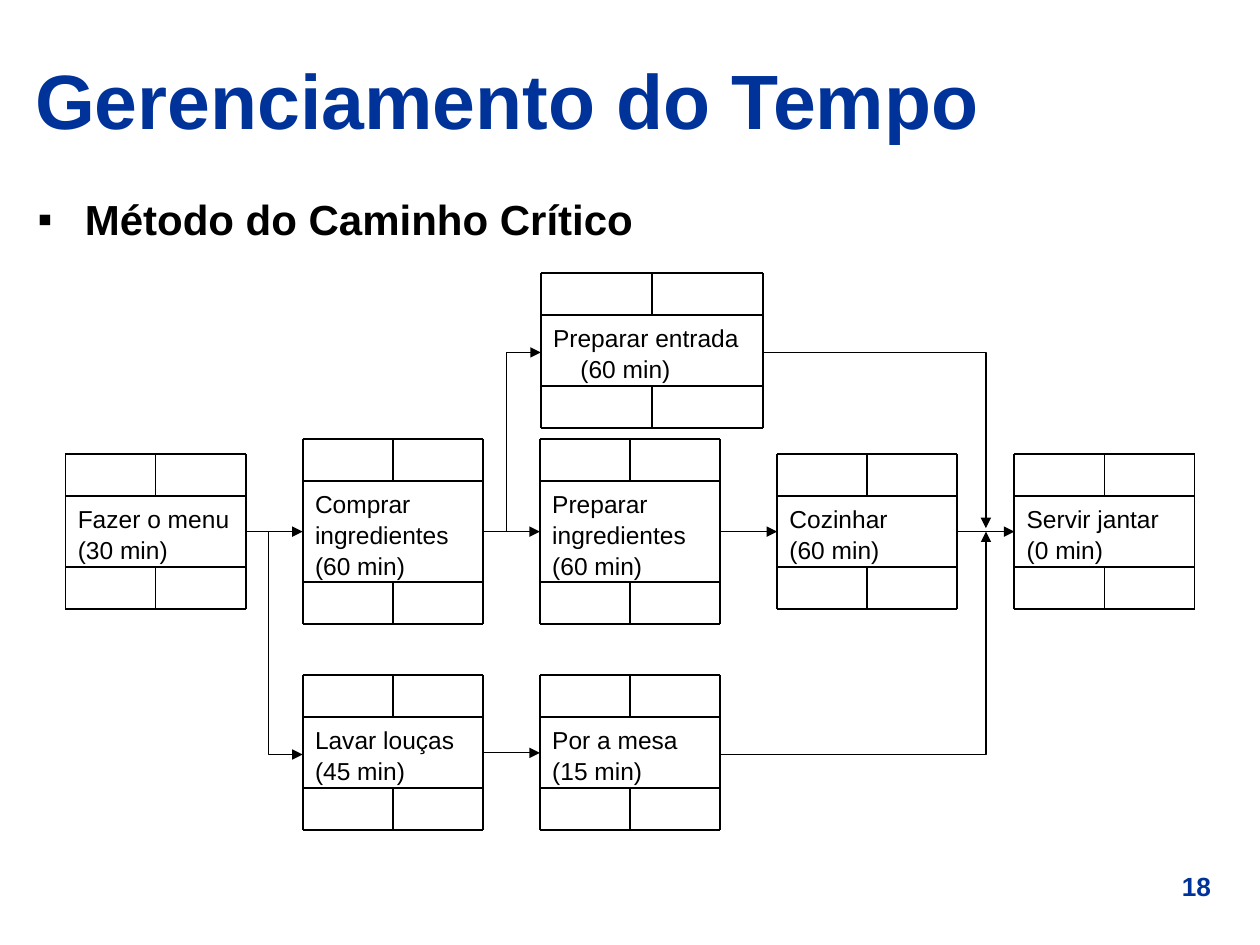
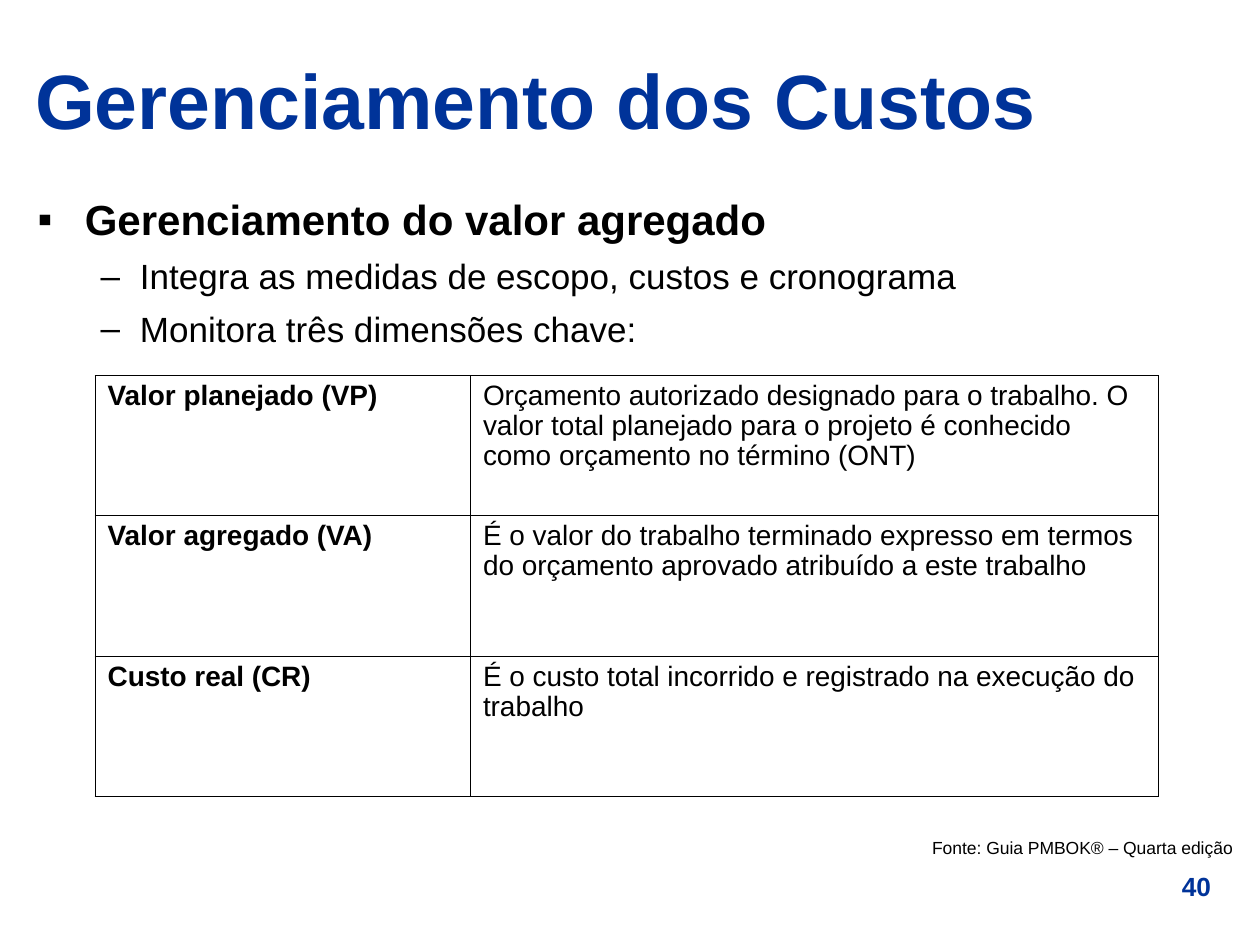
from dataclasses import dataclass

from lxml.etree import SubElement
from pptx import Presentation
from pptx.dml.color import RGBColor as Color
from pptx.enum.shapes import MSO_CONNECTOR as Link
from pptx.enum.text import MSO_ANCHOR as Anchor, PP_ALIGN as Align
from pptx.oxml import parse_xml
from pptx.oxml.ns import nsdecls, qn
from pptx.util import Pt


@dataclass(frozen=True)
class Theme:
    blue: Color = Color(0x00, 0x33, 0x99)
    black: Color = Color(0, 0, 0)
    font: str = "Arial"
    title: int = 44
    heading: int = 24
    item: int = 20
    cell: int = 16
    number: int = 15
    card: int = 14
    source: int = 10
    card_line: float = 1
    arrow_line: float = 0.75
    border: float = 0.45


theme = Theme()


def write(para, lines, size, bold=False, color=theme.black, **layout):
    """Put lines, split by line breaks, into a paragraph with one format."""
    for name, value in layout.items():
        setattr(para, name, value)
    font_format = {"name": theme.font, "size": Pt(size), "bold": bold}
    for index, line in enumerate(lines):
        if index:
            para.add_line_break()
        span = para.add_run()
        span.text = line
        for name, value in font_format.items():
            setattr(span.font, name, value)
        span.font.color.rgb = color


def stroke(shape, weight, arrow=False):
    """Give a connector or outline a plain black line without shadow."""
    shape.line.color.rgb = theme.black
    shape.line.width = Pt(weight)
    properties = shape.element.spPr
    if arrow:
        SubElement(properties.get_or_add_ln(), qn("a:tailEnd"), type="triangle")
    SubElement(properties, qn("a:effectLst"))


deck = Presentation()
deck.slide_width, deck.slide_height = Pt(720), Pt(540)

# Shared parts: title, page number and bulleted body
slides = [
    ("Gerenciamento do Tempo", "18", 47, [(0, "Método do Caminho Crítico")]),
    ("Gerenciamento dos Custos", "40", 402, [
        (0, "Gerenciamento do valor agregado"),
        (1, "Integra as medidas de escopo, custos e cronograma"),
        (1, "Monitora três dimensões chave:"),
    ]),
]
# Per level: bullet, left margin, hanging indent, size, bold
levels = [("▪", 27, -27, theme.heading, True), ("–", 58.5, -22.5, theme.item, False)]

pages = []
for title, number, body_height, items in slides:
    page = deck.slides.add_slide(deck.slide_layouts[6])
    pages.append(page)

    box = page.shapes.add_textbox(Pt(13), Pt(20.2), Pt(692.6), Pt(72.7))
    box.text_frame.word_wrap = True
    box.text_frame.vertical_anchor = Anchor.MIDDLE
    write(box.text_frame.paragraphs[0], [title], theme.title, True, theme.blue)

    box = page.shapes.add_textbox(Pt(655.2), Pt(494), Pt(56.9), Pt(25.2))
    box.text_frame.word_wrap = True
    write(box.text_frame.paragraphs[0], [number], theme.number, True, theme.blue,
          alignment=Align.CENTER)

    box = page.shapes.add_textbox(Pt(14.4), Pt(105.8), Pt(690), Pt(body_height))
    box.text_frame.word_wrap = True
    for index, (level, text) in enumerate(items):
        mark, margin, indent, size, bold = levels[level]
        para = box.text_frame.add_paragraph() if index else box.text_frame.paragraphs[0]
        properties = para._p.get_or_add_pPr()
        properties.set("marL", str(Pt(margin)))
        properties.set("indent", str(Pt(indent)))
        bullet_color = SubElement(properties, qn("a:buClr"))
        SubElement(bullet_color, qn("a:srgbClr"), val=str(theme.black))
        SubElement(properties, qn("a:buFont"), typeface=theme.font)
        SubElement(properties, qn("a:buChar"), char=mark)
        write(para, [text], size, bold, level=level, line_spacing=1.05,
              space_before=Pt(5 if index else 0))

time_page, cost_page = pages

# Activity network: cards on a grid of five columns and three rows
columns = [37.4 + 135.55 * index for index in range(5)]
upper, middle, lower = 200.4, 303.8, 430.2
card_width, strip_height = 103, 24
two_lines, three_lines = 40.6, 57.6

# Name, left, row centre, width, height of the text band, lines, second line indent
activities = [
    ("menu", columns[0], middle, card_width, two_lines,
     ["Fazer o menu", "(30 min)"], 0),
    ("buy", columns[1], middle, card_width, three_lines,
     ["Comprar", "ingredientes", "(60 min)"], 0),
    ("prepare", columns[2], middle, card_width, three_lines,
     ["Preparar", "ingredientes", "(60 min)"], 0),
    ("cook", columns[3], middle, card_width, two_lines,
     ["Cozinhar", "(60 min)"], 0),
    ("serve", columns[4], middle, card_width, two_lines,
     ["Servir jantar", "(0 min)"], 0),
    ("starter", 309, upper, 127, two_lines,
     ["Preparar entrada", "(60 min)"], 15.6),
    ("wash", columns[1], lower, card_width, two_lines,
     ["Lavar louças", "(45 min)"], 0),
    ("table", columns[2], lower, card_width, two_lines,
     ["Por a mesa", "(15 min)"], 0),
]

cards = {}
for name, left, centre, width, height, lines, indent in activities:
    group = time_page.shapes.add_group_shape()
    right, half = left + width, left + width / 2
    band_top, band_bottom = centre - height / 2, centre + height / 2
    top, bottom = band_top - strip_height, band_bottom + strip_height

    box = group.shapes.add_textbox(Pt(left), Pt(band_top), Pt(width), Pt(height))
    box.text_frame.word_wrap = True
    para = box.text_frame.paragraphs[0]
    if indent:
        properties = para._p.get_or_add_pPr()
        properties.set("marL", str(Pt(indent)))
        properties.set("indent", str(Pt(-indent)))
    write(para, lines, theme.card, line_spacing=1.05)
    cards[name] = box

    rules = [(left, y, right, y) for y in (top, band_top, band_bottom, bottom)]
    rules += [(x, top, x, bottom) for x in (left, right)]
    rules += [(half, top, half, band_top), (half, band_bottom, half, bottom)]
    for rule in rules:
        line = group.shapes.add_connector(Link.STRAIGHT, *map(Pt, rule))
        stroke(line, theme.card_line)

# Straight arrows between neighbouring cards
for start, end in [("menu", "buy"), ("buy", "prepare"), ("prepare", "cook"),
                   ("cook", "serve"), ("wash", "table")]:
    arrow = time_page.shapes.add_connector(Link.STRAIGHT, 0, 0, 0, 0)
    arrow.begin_connect(cards[start], 3)
    arrow.end_connect(cards[end], 1)
    stroke(arrow, theme.arrow_line, arrow=True)

# Bent arrows that branch off and join the main row
upper_bend, lower_bend, join = upper + 1, lower + 1, 563.4
bends = [
    [(153.5, middle), (153.5, lower_bend), (columns[1], lower_bend)],
    [(289.5, middle), (289.5, upper_bend), (309, upper_bend)],
    [(436, upper_bend), (join, upper_bend), (join, middle - 2)],
    [(columns[2] + card_width, lower_bend), (join, lower_bend), (join, middle)],
]
for bend in bends:
    start, *rest = [(Pt(x), Pt(y)) for x, y in bend]
    builder = time_page.shapes.build_freeform(*start)
    builder.add_line_segments(rest, close=False)
    arrow = builder.convert_to_shape()
    arrow.fill.background()
    stroke(arrow, theme.arrow_line, arrow=True)

# Source line
box = cost_page.shapes.add_textbox(Pt(524.2), Pt(474.5), Pt(187.2), Pt(19.4))
box.text_frame.word_wrap = True
write(box.text_frame.paragraphs[0], ["Fonte: Guia PMBOK® – Quarta edição"],
      theme.source, alignment=Align.RIGHT)

# Table of the three dimensions
dimensions = [
    ("Valor planejado (VP)",
     "Orçamento autorizado designado para o trabalho. O valor total planejado "
     "para o projeto é conhecido como orçamento no término (ONT)"),
    ("Valor agregado (VA)",
     "É o valor do trabalho terminado expresso em termos do orçamento aprovado "
     "atribuído a este trabalho"),
    ("Custo real (CR)",
     "É o custo total incorrido e registrado na execução do trabalho"),
]
widths, row_height = (214.5, 393), 80.2
table = cost_page.shapes.add_table(
    len(dimensions), len(widths), Pt(54.3), Pt(214.5),
    Pt(sum(widths)), Pt(row_height * len(dimensions))).table
table.first_row = table.horz_banding = False
for column, width in zip(table.columns, widths):
    column.width = Pt(width)
for row, texts in zip(table.rows, dimensions):
    row.height = Pt(row_height)
    for index, (cell, text) in enumerate(zip(row.cells, texts)):
        cell.fill.background()
        write(cell.text_frame.paragraphs[0], [text], theme.cell, bold=index == 0,
              line_spacing=0.96)
        for order, side in enumerate("LRTB"):
            cell._tc.get_or_add_tcPr().insert(order, parse_xml(
                f'<a:ln{side} {nsdecls("a")} w="{Pt(theme.border)}"><a:solidFill>'
                f'<a:srgbClr val="{theme.black}"/></a:solidFill></a:ln{side}>'))

deck.save("out.pptx")
